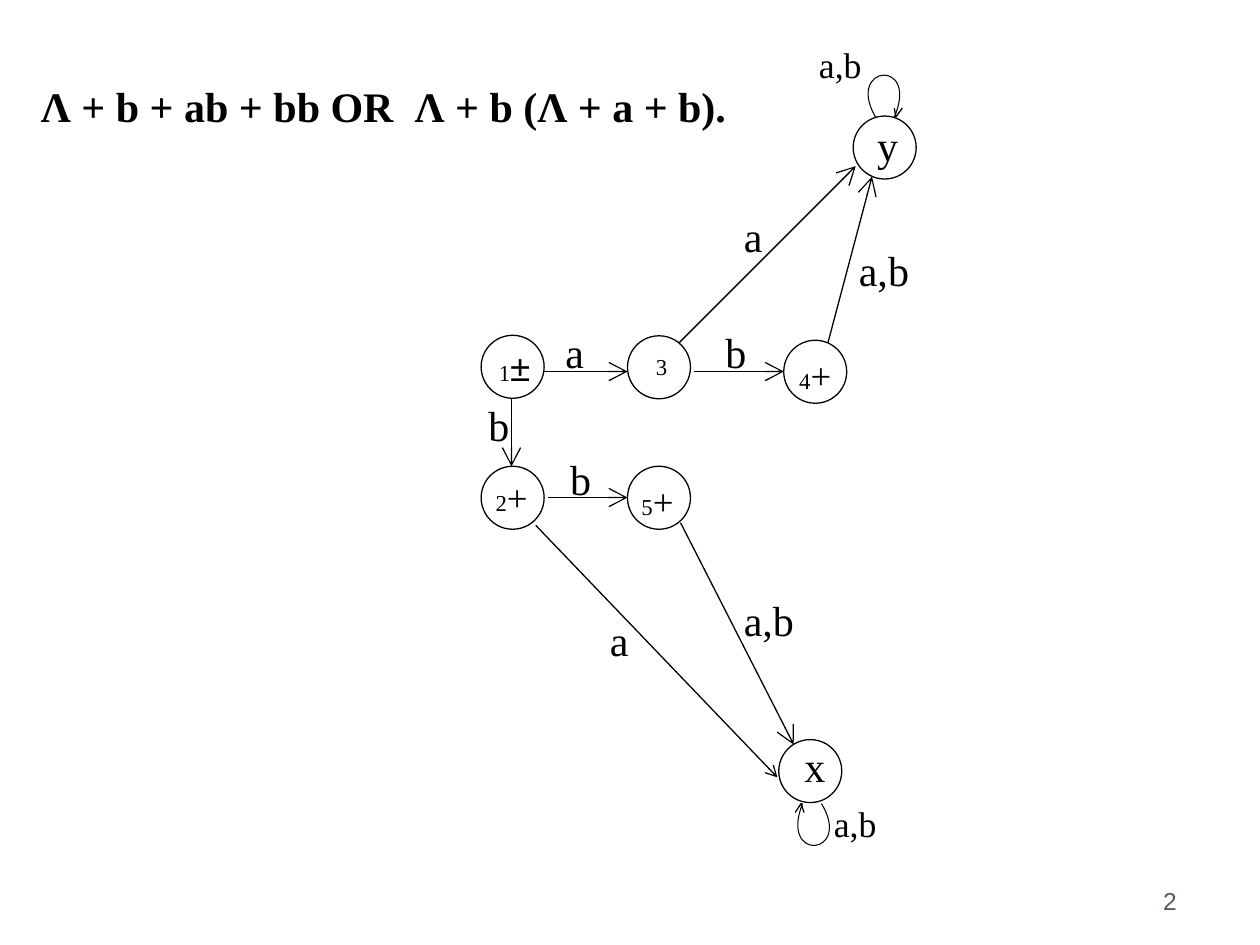
import pptx
import pptx.dml.color
import pptx.enum.shapes
import pptx.enum.text
import pptx.oxml
import pptx.oxml.ns
import pptx.util
from lxml import etree

Cm, Pt = pptx.util.Cm, pptx.util.Pt
qn = pptx.oxml.ns.qn
ALIGN = pptx.enum.text.PP_ALIGN
BLACK, WHITE, GREY = "000000", "FFFFFF", "5E574E"
SERIF, SANS = "Times New Roman", "Arial"

# All positions are in centimetres.
TITLE = ("Λ + b + ab + bb OR  Λ + b (Λ + a + b).", 0.28, 1.5, 14.91)
PAGE_NUMBER = ("2", 18.69, 17.3, 5.28)

DIAMETER = 1.27
STATES = {  # left, top
    "y": (17.2, 2.34),
    "1": (9.7, 6.76),
    "3": (12.65, 6.77),
    "5": (12.65, 9.4),
    "2": (9.7, 9.4),
    "x": (15.7, 14.91),
    "4": (15.8, 6.86),
}
STATE_MARKS = [  # number, sign, sign font, left, top
    ("1", "±", SANS, 9.74, 6.83),
    ("2", "+", SERIF, 9.68, 9.45),
    ("4", "+", SERIF, 15.8, 6.99),
    ("5", "+", SERIF, 12.62, 9.53),
    ("3", "", SERIF, 12.7, 6.99),
]
TRANSITIONS = [  # from x, y, to x, y, arrowhead size
    (10.95, 7.49, 12.65, 7.49, "lg"),
    (14, 7.49, 15.8, 7.49, "lg"),
    (11.05, 10.03, 12.65, 10.03, "lg"),
    (10.31, 8.03, 10.31, 9.4, "lg"),
    (13.69, 6.91, 17.25, 3.35, "lg"),
    (16.69, 6.91, 17.58, 3.56, "lg"),
    (13.72, 10.54, 16, 15.01, "lg"),
    (10.8, 10.59, 15.67, 15.67, "med"),
]
LABELS = [  # text, left, top, width
    ("a", 10.95, 6.45, 1.27),
    ("b", 14.2, 6.45, 1.27),
    ("a,b", 16.59, 4.8, 2.46),
    ("a", 14.55, 4.11, 1.27),
    ("b", 9.42, 7.92, 1.27),
    ("b", 11.07, 9.02, 1.27),
    ("a,b", 14.33, 11.86, 2.34),
    ("a", 11, 12.27, 2.97),
    ("x", 14.94, 14.81, 2.97),
    ("y", 16.41, 2.29, 2.97),
]
LOOPS = [  # curve control points, arrowhead points, label
    ([(17.65, 2.36), (17.04, 1.3), (18.54, 1.17), (18.03, 2.36)],
     [(18.19, 2.18), (18.06, 2.36), (18.03, 2.18)],
     ("a,b", 16.26, 0.84, 1.65)),
    ([(16.56, 16.2), (17.2, 17.25), (15.7, 17.4), (16.18, 16.2)],
     [(16.03, 16.38), (16.15, 16.2), (16.21, 16.38)],
     ("a,b", 16.56, 16.13, 1.65)),
]


def rgb(code):
    return pptx.dml.color.RGBColor.from_string(code)


def set_line(sp, width=0.75):
    sp.line.color.rgb = rgb(BLACK)
    sp.line.width = Pt(width)


def add_text(runs, left, top, width, height=1.27, align=ALIGN.CENTER,
             color=BLACK, bold=False):
    """Add a one-line text box; runs are (text, size, font)."""
    sp = slide.shapes.add_textbox(Cm(left), Cm(top), Cm(width), Cm(height))
    tf = sp.text_frame
    tf.word_wrap = True
    p = tf.paragraphs[0]
    p.alignment = align
    for text, size, font in runs:
        r = p.add_run()
        r.text = text
        r.font.size = Pt(size)
        r.font.name = font
        r.font.bold = bold
        r.font.color.rgb = rgb(color)
    return tf


def add_state(left, top):
    sp = slide.shapes.add_shape(pptx.enum.shapes.MSO_SHAPE.OVAL,
                                Cm(left), Cm(top), Cm(DIAMETER), Cm(DIAMETER))
    sp.shadow.inherit = False
    sp.fill.solid()
    sp.fill.fore_color.rgb = rgb(WHITE)
    set_line(sp)


def add_arrow(x1, y1, x2, y2, head):
    sp = slide.shapes.add_connector(pptx.enum.shapes.MSO_CONNECTOR.STRAIGHT,
                                    Cm(x1), Cm(y1), Cm(x2), Cm(y2))
    set_line(sp)
    etree.SubElement(sp.line._get_or_add_ln(), qn("a:tailEnd"),
                     type="arrow", w=head, len=head)
    etree.SubElement(sp._element.spPr, qn("a:effectLst"))


def add_outline(points, width):
    """Add an open, unfilled polyline."""
    start, *rest = [(Cm(x), Cm(y)) for x, y in points]
    builder = slide.shapes.build_freeform(*start)
    builder.add_line_segments(rest, close=False)
    sp = builder.convert_to_shape()
    sp.shadow.inherit = False
    sp.fill.background()
    set_line(sp, width)
    return sp


def add_curve(points, width):
    """Add a cubic curve through its four control points' path."""
    sp = add_outline(points, width)
    route = sp._element.find(".//" + qn("a:path"))
    segments = route.findall(qn("a:lnTo"))
    curve = etree.SubElement(route, qn("a:cubicBezTo"))
    for segment in segments:
        curve.append(segment[0])
        route.remove(segment)


prs = pptx.Presentation()
prs.slide_width, prs.slide_height = Cm(25.4), Cm(19.05)
slide = prs.slides.add_slide(prs.slide_layouts[6])

text, *place = PAGE_NUMBER
tf = add_text([(text, 14, SANS)], *place, align=ALIGN.RIGHT, color=GREY)
tf.vertical_anchor = pptx.enum.text.MSO_ANCHOR.BOTTOM

for position in STATES.values():
    add_state(*position)

for curve_points, head_points, (text, *place) in LOOPS:
    add_curve(curve_points, 0.6)
    add_outline(head_points, 0.75)
    tf = add_text([(text, 20.4, SERIF)], *place, height=1.12, align=ALIGN.LEFT)
    tf.paragraphs[0].line_spacing = 0.9

for transition in TRANSITIONS:
    add_arrow(*transition)

for text, *place in LABELS:
    add_text([(text, 24, SERIF)], *place)

for number, sign, font, left, top in STATE_MARKS:
    runs = [(number, 13, SERIF)]
    if sign:
        runs.append((sign, 21, font))
    add_text(runs, left, top, DIAMETER, height=1.14 if sign else 0.81)

text, *place = TITLE
add_text([(text, 24, SERIF)], *place, bold=True)

prs.save("out.pptx")
